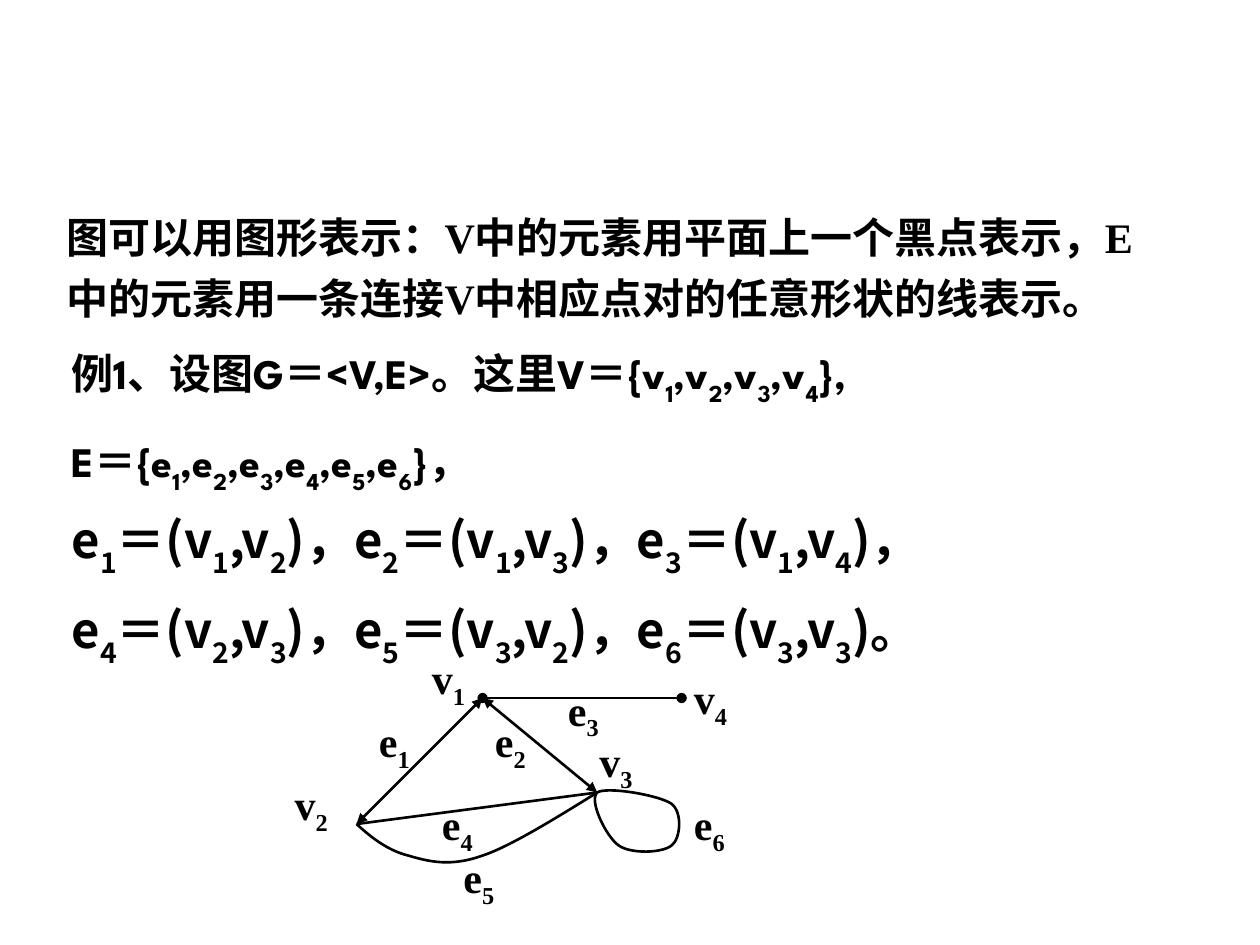
import pptx
import pptx.dml.color
import pptx.enum.shapes
import pptx.enum.text
import pptx.oxml.ns
import pptx.util
from lxml import etree
from pptx.util import Inches

ALIGN = pptx.enum.text.PP_ALIGN
SERIF = "Times New Roman"
HAN = "Noto Sans CJK SC"


def color(code):
    return pptx.dml.color.RGBColor.from_string(code)


def child(parent, tag, **attrs):
    return etree.SubElement(parent, pptx.oxml.ns.qn(tag), attrs)


def write(frame, lines, font=SERIF, size=24, ink="000000", drop=-25,
          align=ALIGN.LEFT, space=None, before=0, hang=0):
    """Fill a frame; the one character after each "_" is a subscript."""
    for i, line in enumerate(lines):
        para = frame.paragraphs[0] if i == 0 else frame.add_paragraph()
        para.alignment = align
        if space:
            para.line_spacing = space
        if i and before:
            para.space_before = pptx.util.Pt(before)
        if hang:
            props = para._p.get_or_add_pPr()
            props.set("marL", str(Inches(hang)))
            props.set("indent", str(-Inches(hang)))
        first, *rest = line.split("_")
        parts = [(first, 0)]
        for part in rest:
            parts += [(part[0], drop), (part[1:], 0)]
        for text, shift in parts:
            if not text:
                continue
            run = para.add_run()
            run.text = text
            run.font.name = font
            run.font.size = pptx.util.Pt(size)
            run.font.bold = True
            run.font.color.rgb = color(ink)
            props = run._r.get_or_add_rPr()
            child(props, "a:ea", typeface=HAN)
            if shift:
                props.set("baseline", str(shift * 1000))


def bend(shape):
    """Turn each three straight segments of an outline into one cubic curve."""
    steps = list(shape._element.spPr.iter(pptx.oxml.ns.qn("a:lnTo")))
    for n in range(0, len(steps), 3):
        cubic = etree.Element(pptx.oxml.ns.qn("a:cubicBezTo"))
        steps[n].addprevious(cubic)
        for step in steps[n:n + 3]:
            cubic.append(step[0])
            step.getparent().remove(step)


class Board:
    """Holds the line style and the shapes being drawn on."""

    def __init__(self, slide, ink="000000", weight=1.5):
        self.shapes = slide.shapes
        self.ink = ink
        self.weight = weight

    def group(self):
        self.shapes = self.shapes.add_group_shape().shapes

    def text(self, left, top, width, height, *lines, **style):
        box = self.shapes.add_textbox(*map(Inches, (left, top, width, height)))
        box.text_frame.word_wrap = True
        box.text_frame.auto_size = pptx.enum.text.MSO_AUTO_SIZE.SHAPE_TO_FIT_TEXT
        write(box.text_frame, lines, **style)

    def stroke(self, shape):
        shape.line.color.rgb = color(self.ink)
        shape.line.width = pptx.util.Pt(self.weight)

    def edge(self, start, end, tip=None):
        line = self.shapes.add_connector(
            pptx.enum.shapes.MSO_CONNECTOR.STRAIGHT, *map(Inches, start + end))
        self.stroke(line)
        if tip:
            for tag in ("a:headEnd", "a:tailEnd"):
                child(line.line._get_or_add_ln(), tag, type=tip)
        child(line._element.spPr, "a:effectLst")

    def curve(self, start, *points, close=False):
        """Draw cubic curves; each takes two handles and an end from points."""
        pen = self.shapes.build_freeform(*map(Inches, start))
        pen.add_line_segments([tuple(map(Inches, p)) for p in points], close=close)
        shape = pen.convert_to_shape()
        bend(shape)
        shape.shadow.inherit = False
        shape.fill.background()
        self.stroke(shape)


def main():
    deck = pptx.Presentation()
    deck.slide_width, deck.slide_height = Inches(10), Inches(7.5)
    board = Board(deck.slides.add_slide(deck.slide_layouts[6]))

    board.text(0.43, 1.55, 9, 1.06,
               "图可以用图形表示：V中的元素用平面上一个黑点表示，E",
               "中的元素用一条连接V中相应点对的任意形状的线表示。",
               space=1.2, hang=0.5)
    board.text(0.47, 2.57, 9.25, 1.41,
               "例1、设图G＝<V,E>。这里V＝{v_1,v_2,v_3,v_4},",
               "E＝{e_1,e_2,e_3,e_4,e_5,e_6}，",
               font="League Spartan", drop=-30, space=1.3, before=6, hang=0.38)
    board.text(0.47, 3.83, 8.5, 1.53,
               "e_1＝(v_1,v_2)，e_2＝(v_1,v_3)，e_3＝(v_1,v_4)，",
               "e_4＝(v_2,v_3)，e_5＝(v_3,v_2)，e_6＝(v_3,v_3)。",
               font=HAN, size=28, drop=-30, align=ALIGN.JUSTIFY, space=1.3, hang=0.38)

    board.group()
    v1, v2, v3, v4 = (3.83, 5.54), (2.83, 6.54), (4.74, 6.29), (5.41, 5.54)
    board.edge(v1, v2, "triangle")
    board.edge(v1, v3, "triangle")
    board.edge(v1, v4, "oval")
    board.edge(v2, v3)
    board.curve(v2, (2.95, 6.65), (3.08, 6.75), (3.24, 6.79),
                (3.41, 6.84), (3.58, 6.88), (3.83, 6.79),
                (4.08, 6.71), (4.59, 6.38), v3)
    board.curve(v3, (4.81, 6.24), (5.23, 6.31), (5.33, 6.38),
                (5.42, 6.45), (5.4, 6.66), (5.33, 6.71),
                (5.26, 6.77), (5.01, 6.78), (4.91, 6.71),
                (4.81, 6.64), (4.67, 6.35), v3, close=True)

    labels = {
        "v": (0.77, [(3.33, 5.13), (2.24, 6.13), (4.66, 5.79), (5.41, 5.29)]),
        "e": (0.6, [(2.91, 5.63), (3.83, 5.63), (4.41, 5.38),
                    (3.41, 6.29), (3.58, 6.71), (5.41, 6.29)]),
    }
    for name, (width, spots) in labels.items():
        for n, (left, top) in enumerate(spots, 1):
            board.text(left, top, width, 0.56, f"{name}_{n}")

    deck.save("out.pptx")


if __name__ == "__main__":
    main()
